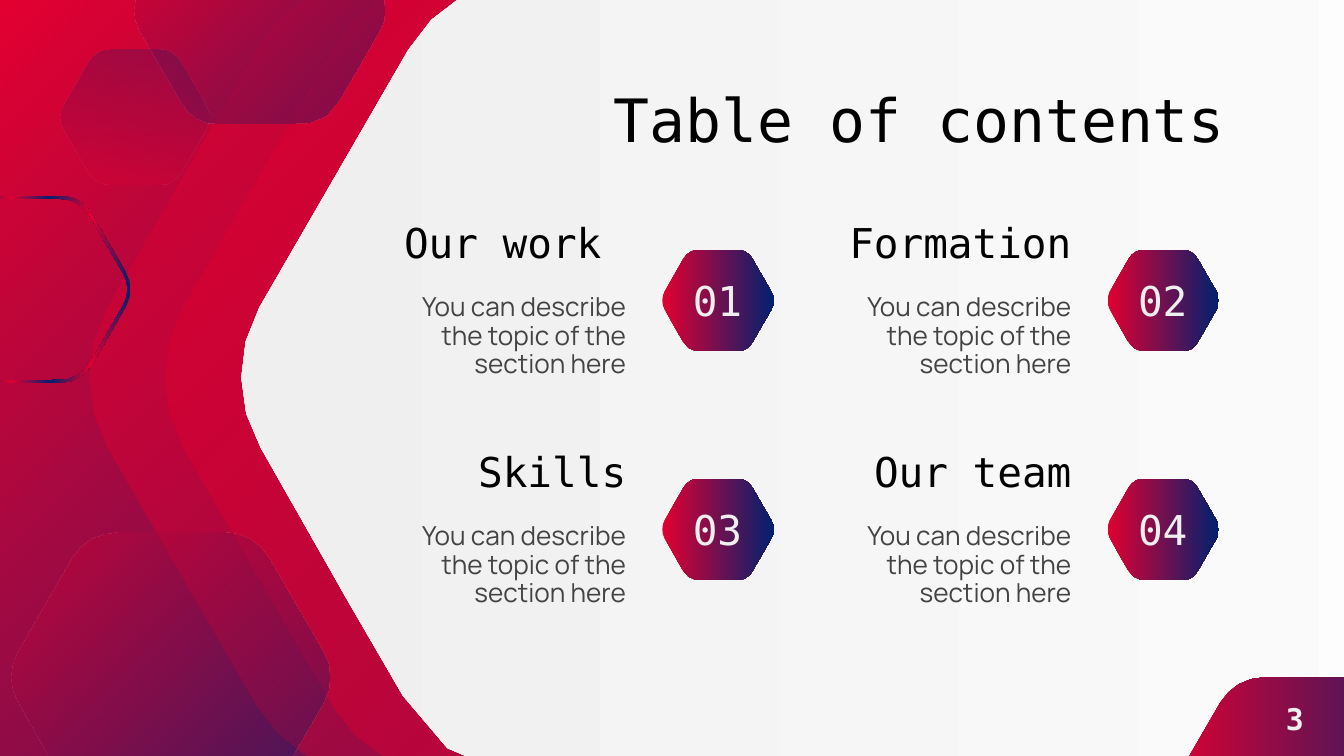
from lxml import etree
from pptx import Presentation
from pptx.dml.color import RGBColor
from pptx.enum.text import MSO_ANCHOR, MSO_AUTO_SIZE, PP_ALIGN
from pptx.oxml.ns import qn
from pptx.util import Pt

MIDDLE = MSO_ANCHOR.MIDDLE
NO_FIT = MSO_AUTO_SIZE.NONE
RIGHT, CENTER = PP_ALIGN.RIGHT, PP_ALIGN.CENTER
TITLE_ONLY = 5

COLORS = {"red": "E20030", "navy": "00216E", "white": "FFFFFF",
          "pale": "EFEFEF", "black": "000000", "gray": "434343"}
MONO, SANS = "DejaVu Sans Mono", "Manrope"

TITLE = "Table of contents"
PAGE = "3"
TOPIC_TEXT = "You can describe the topic of the section here"
TOPICS = [("01", "Our work "), ("02", "Formation"),
          ("03", "Skills"), ("04", "Our team")]

STYLES = {
    "title": {"size": Pt(32), "name": MONO, "color": "black", "align": RIGHT},
    "number": {"size": Pt(22), "name": MONO, "color": "pale", "align": CENTER},
    "heading": {"size": Pt(22), "name": MONO, "color": "black", "align": RIGHT},
    "body": {"size": Pt(14), "name": SANS, "color": "gray", "align": RIGHT,
             "spacing": 0.9},
    "page": {"size": Pt(16), "name": MONO, "bold": True, "color": "pale",
             "align": CENTER},
}

BACKGROUND = ([(0, "red", 100), (100, "navy", 100)], 45)
BADGE = ([(0, "red", 100), (100, "navy", 100)], 0)
VEIL = ([(0, "red", 41), (100, "red", 41)], 0)
PANEL = ([(0, "white", 100), (100, "pale", 100)], 180)
GLASS = ([(0, "red", 41), (100, "navy", 40)], 45)
HAZE = ([(0, "navy", 22), (100, "red", 23)], 90)
STRIPES = ([(0, "navy", 100), (19, "red", 100), (39, "navy", 100),
            (58, "red", 100), (78, "navy", 100), (100, "red", 100)], 180)

DECOR = [
    {"box": (44.6, -11.5, 476, 427.7), "paint": VEIL},
    {"box": (85.2, -11.5, 476, 427.7), "paint": VEIL},
    {"box": (126, -11.5, 476, 427.7), "paint": PANEL, "mirror": True,
     "stretch": 300},
    {"box": (71.3, -54.7, 135.4, 121), "paint": GLASS},
    {"box": (5, 285.5, 172.8, 154.8), "paint": GLASS, "mirror": True},
    {"box": (31.7, 26.6, 80.6, 72.5), "paint": HAZE, "mirror": True},
    {"box": (-41, 105.1, 111.6, 100.1), "paint": STRIPES, "rim": 1.5},
    {"box": (619.9, 362.9, 172.8, 154.8), "paint": BADGE, "mirror": True},
]

HEX_WIDTH, HEX_HEIGHT = 6.61, 5.94
HEX_START = (4.41, 0)
HEX_SEGMENTS = [
    [(4.78, 0), (5.13, 0.2), (5.32, 0.53)],
    [(6.43, 2.45)],
    [(6.61, 2.77), (6.61, 3.17), (6.42, 3.49)],
    [(5.76, 4.65)],
    [(5.12, 5.8), (5.04, 5.94), (4.01, 5.94)],
    [(2.19, 5.94)],
    [(1.82, 5.94), (1.48, 5.73), (1.29, 5.41)],
    [(0.18, 3.49)],
    [(0, 3.17), (0, 2.77), (0.18, 2.45)],
    [(1.29, 0.53)],
    [(1.48, 0.2), (1.82, 0), (2.19, 0)],
]
CURVE_STEPS = 4

GRID_LEFT, GRID_TOP = 195.7, 114.5
COLUMN_STEP, ROW_STEP = 238.5, 122.6
CELL = {"badge": (158.7, 19.3, 60.5, 54.5), "number": (162.8, 31, 51.8, 30.2),
        "heading": (0, 0, 146.9, 30.2), "body": (0, 38.9, 146.9, 54)}


def hexagon_outline():
    outline = [HEX_START]
    for segment in HEX_SEGMENTS:
        if len(segment) == 1:
            outline += segment
            continue
        controls = [outline[-1], *segment]
        for step in range(1, CURVE_STEPS + 1):
            t = step / CURVE_STEPS
            weights = ((1 - t) ** 3, 3 * t * (1 - t) ** 2, 3 * t * t * (1 - t), t ** 3)
            outline.append(tuple(sum(w * c[axis] for w, c in zip(weights, controls))
                                 for axis in (0, 1)))
    return [(x / HEX_WIDTH, y / HEX_HEIGHT) for x, y in outline]


OUTLINE = hexagon_outline()


def place_outline(box, mirror=False, stretch=0):
    left, top, width, height = box
    corners = []
    for u, v in OUTLINE:
        u = 1 - u if mirror else u
        shift = stretch if u > 0.5 else 0
        corners.append((Pt(left + u * width + shift), Pt(top + v * height)))
    return corners


def paint_gradient(fill, element, paint):
    stops, angle = paint
    fill.gradient()
    fill.gradient_angle = (360 - angle) % 360
    stop_list = next(element.iter(qn("a:gsLst")))
    for stop in list(stop_list):
        stop_list.remove(stop)
    for position, color, opacity in stops:
        stop = etree.SubElement(stop_list, qn("a:gs"), pos=str(position * 1000))
        tint = etree.SubElement(stop, qn("a:srgbClr"), val=COLORS[color])
        if opacity < 100:
            etree.SubElement(tint, qn("a:alpha"), val=str(opacity * 1000))


def add_hexagon(slide, box, paint, mirror=False, stretch=0, rim=0):
    corners = place_outline(box, mirror, stretch)
    builder = slide.shapes.build_freeform(*corners[0], scale=1.0)
    builder.add_line_segments(corners[1:], close=True)
    if rim:
        left, top, width, height = box
        inner = place_outline((left + rim, top + rim, width - 2 * rim,
                               height - 2 * rim))[::-1]
        builder.move_to(*inner[0])
        builder.add_line_segments(inner[1:], close=True)
    hexagon = builder.convert_to_shape()
    hexagon.shadow.inherit = False
    hexagon.line.fill.background()
    paint_gradient(hexagon.fill, hexagon._element, paint)


def write_text(holder, box, text, style):
    for side, value in zip(("left", "top", "width", "height"), box):
        setattr(holder, side, Pt(value))
    frame = holder.text_frame
    frame_format = {"word_wrap": True, "auto_size": NO_FIT, "vertical_anchor": MIDDLE}
    for margin in ("left", "top", "right", "bottom"):
        frame_format["margin_" + margin] = Pt(7.2)
    for key, value in frame_format.items():
        setattr(frame, key, value)
    paragraph = frame.paragraphs[0]
    paragraph.alignment = style["align"]
    paragraph.line_spacing = style.get("spacing", 1.0)
    run = paragraph.add_run()
    run.text = text
    for key in ("size", "name", "bold"):
        setattr(run.font, key, style.get(key, False))
    run.font.color.rgb = RGBColor.from_string(COLORS[style["color"]])


def add_text(slide, box, text, style_name):
    label = slide.shapes.add_textbox(0, 0, 0, 0)
    write_text(label, box, text, STYLES[style_name])


def main():
    deck = Presentation()
    deck.slide_width, deck.slide_height = Pt(720), Pt(405)
    slide = deck.slides.add_slide(deck.slide_layouts[TITLE_ONLY])
    paint_gradient(slide.background.fill, slide._element, BACKGROUND)
    for decor in DECOR:
        add_hexagon(slide, **decor)

    title = slide.shapes.title
    write_text(title, (185, 42.5, 478.8, 42.5), TITLE, STYLES["title"])
    slide.shapes._spTree.append(title._element)

    for index, (number, heading) in enumerate(TOPICS):
        row, column = divmod(index, 2)
        x, y = GRID_LEFT + column * COLUMN_STEP, GRID_TOP + row * ROW_STEP
        boxes = {part: (x + dx, y + dy, width, height)
                 for part, (dx, dy, width, height) in CELL.items()}
        add_hexagon(slide, boxes["badge"], BADGE, mirror=True)
        for part, text in (("number", number), ("heading", heading),
                           ("body", TOPIC_TEXT)):
            add_text(slide, boxes[part], text, part)

    add_text(slide, (667.4, 362.9, 52.6, 44.6), PAGE, "page")
    deck.save("out.pptx")


if __name__ == "__main__":
    main()
